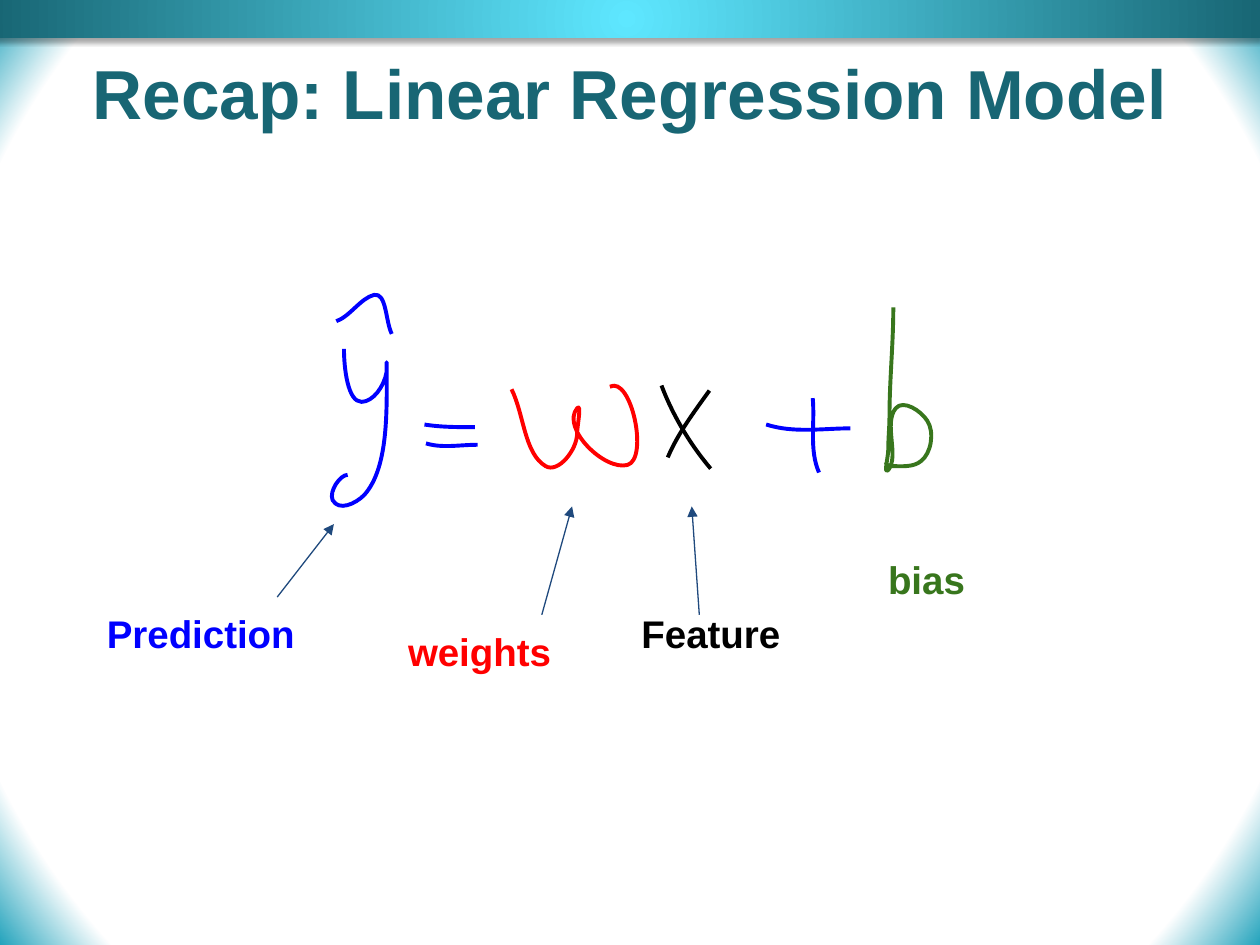
from lxml.etree import SubElement
from pptx import Presentation
from pptx.dml.color import RGBColor
from pptx.enum.shapes import MSO_CONNECTOR, MSO_SHAPE
from pptx.enum.text import MSO_ANCHOR, MSO_AUTO_SIZE, PP_ALIGN
from pptx.oxml.ns import qn
from pptx.util import Pt

BLUE, RED, BLACK, GREEN = "0000FF", "FF0000", "000000", "38761D"
TEAL, NAVY = "186674", "1F497D"

STROKES = [
    (BLACK, [(189, 52.3), (195.5, 69.6), (205.6, 86.2), (217.1, 99.8)]),
    (BLUE, [(7.6, 31.4), (7.6, 42.2), (9.7, 61.7), (17.6, 61.7),
            (24.1, 61.7), (30.6, 53), (32, 44.4),
            (32, 43), (32, 37.2), (32, 39.4),
            (32, 65.3), (33.5, 99.1), (19.1, 115),
            (14, 120), (4.7, 124.3), (1.1, 117.8),
            (-1.1, 112.8), (5.4, 103.4), (9.7, 103.4)]),
    (BLUE, [(53.6, 74.6), (63, 76.1), (72.4, 76.1), (82.4, 76.1)]),
    (BLUE, [(54.4, 85.4), (63.7, 88.3), (73.8, 86.2), (83.9, 86.2)]),
    (RED, [(103.3, 54.5), (110.5, 68.9), (110.5, 91.2), (122.8, 98.4),
           (130, 102.7), (140.8, 89), (140.8, 79.7),
           (140.8, 75.4), (143.6, 62.4), (140.8, 65.3),
           (131.4, 76.8), (156.6, 101.3), (169.6, 97.7),
           (181.8, 94.1), (171.7, 46.6), (159.5, 53)]),
    (BLACK, [(216.4, 55.2), (207.7, 67.4), (198.4, 79.7), (192.6, 93.4)]),
    (BLUE, [(248.8, 74.6), (264.6, 79.7), (281.2, 76.8), (297, 76.8)]),
    (BLUE, [(275.4, 59.5), (276.8, 73.2), (273.2, 89), (279, 102)]),
    (GREEN, [(321.5, 7.7), (321.5, 28.6), (319.3, 49.4), (319.3, 69.6),
             (319.3, 76.1), (318.6, 82.6), (318.6, 89),
             (318.6, 93.4), (315.7, 103.4), (318.6, 100.6),
             (325.1, 92.6), (315.7, 73.9), (322.9, 65.3),
             (327.2, 60.2), (337.3, 66.7), (340.9, 72.5),
             (345.2, 79), (343.1, 91.2), (337.3, 95.5),
             (333, 99.1), (326.5, 98.4), (320.8, 98.4),
             (319.3, 98.4), (317.2, 97.7), (317.2, 96.2)]),
    (BLUE, [(3.2, 15.6), (11.2, 12.7), (16.9, 2.6), (24.8, 0.5),
            (32, -1), (31.3, 15.6), (34.9, 22.8)]),
]
LABELS = [
    ("Feature", BLACK, 305.5, 30.9, 208.8),
    ("Prediction", BLUE, 0, 30.9, 208.8),
    ("weights", RED, 172.1, 41, 115.2),
    ("bias", GREEN, 446.4, 0, 115.2),
]
ARROWS = [
    ((241.2, 61.9), (236.9, 0)),
    ((151.2, 61.9), (168.5, 0)),
    ((0, 51.8), (32.4, 10.1)),
]


def color(code):
    """Turn a hex string into a colour."""
    return RGBColor.from_string(code)


def shade(fill, root, stops):
    """Give a fill a round gradient that starts at the centre."""
    fill.gradient()
    for stop, (place, code) in zip(fill.gradient_stops, stops):
        stop.position = place
        stop.color.rgb = color(code)
    line = next(root.iter(qn("a:lin")))
    grad = line.getparent()
    grad.remove(line)
    ring = SubElement(grad, qn("a:path"), path="circle")
    SubElement(ring, qn("a:fillToRect"), l="50000", t="50000", r="50000", b="50000")


def banner(slide, left, top, width, height):
    """Draw the shaded bar with its soft shadow."""
    bar = slide.shapes.add_shape(
        MSO_SHAPE.RECTANGLE, Pt(left), Pt(top), Pt(width), Pt(height))
    bar.line.fill.background()
    shade(bar.fill, bar.element, [(0, "5EE7FF"), (1, TEAL)])
    bar.shadow.inherit = False
    effects = next(bar.element.iter(qn("a:effectLst")))
    cast = SubElement(effects, qn("a:outerShdw"), blurRad=str(Pt(3.1)),
                      dist=str(Pt(1.8)), dir="5400000", rotWithShape="0")
    tint = SubElement(cast, qn("a:srgbClr"), val=BLACK)
    SubElement(tint, qn("a:alpha"), val="35000")


def write(shape, text, size, code):
    """Put one bold line in a shape and return its paragraph."""
    frame = shape.text_frame
    frame.word_wrap = True
    frame.vertical_anchor = MSO_ANCHOR.TOP
    frame.margin_left = frame.margin_right = Pt(7.2)
    frame.margin_top = frame.margin_bottom = Pt(7.2)
    frame.text = text
    line = frame.paragraphs[0]
    font = line.font
    font.name, font.size, font.bold = "Arial", Pt(size), True
    font.color.rgb = color(code)
    return line


def heading(slide, left, top, width, height):
    """Place and fill the title."""
    title = slide.shapes.title
    title.left, title.top = Pt(left), Pt(top)
    title.width, title.height = Pt(width), Pt(height)
    line = write(title, "Recap: Linear Regression Model", 39.6, TEAL)
    line.alignment = PP_ALIGN.CENTER
    title.text_frame.auto_size = MSO_AUTO_SIZE.NONE


def bend(stroke, dots):
    """Turn the straight segments of a stroke into cubic curves."""
    left, top = stroke.left, stroke.top
    lines = list(stroke.element.iter(qn("a:lnTo")))
    for index, line in enumerate(lines):
        arc = SubElement(line.getparent(), qn("a:cubicBezTo"))
        for x, y in dots[3 * index + 1:3 * index + 4]:
            SubElement(arc, qn("a:pt"), x=str(x - left), y=str(y - top))
        line.getparent().remove(line)


def formula(slide, left, top):
    """Draw the handwritten equation as a group of strokes."""
    group = slide.shapes.add_group_shape()
    for code, points in STROKES:
        dots = [(Pt(left + x), Pt(top + y)) for x, y in points]
        pen = group.shapes.build_freeform(*dots[0])
        pen.add_line_segments(dots[3::3], close=False)
        stroke = pen.convert_to_shape()
        bend(stroke, dots)
        stroke.fill.background()
        stroke.line.color.rgb = color(code)
        stroke.line.width = Pt(2.25)
        stroke.shadow.inherit = False


def labels(slide, left, top):
    """Name the terms of the equation."""
    for text, code, x, y, width in LABELS:
        box = slide.shapes.add_textbox(Pt(left + x), Pt(top + y), Pt(width), Pt(41))
        write(box, text, 22, code)
        box.text_frame.auto_size = MSO_AUTO_SIZE.SHAPE_TO_FIT_TEXT


def arrows(slide, left, top):
    """Point from the labels to their terms."""
    for (x, y), (tip, end) in ARROWS:
        arrow = slide.shapes.add_connector(
            MSO_CONNECTOR.STRAIGHT, Pt(left + x), Pt(top + y),
            Pt(left + tip), Pt(top + end))
        arrow.line.color.rgb = color(NAVY)
        arrow.line.width = Pt(0.75)
        edge = next(arrow.element.iter(qn("a:ln")))
        SubElement(edge, qn("a:tailEnd"), type="triangle")
        SubElement(edge.getparent(), qn("a:effectLst"))


def main():
    """Build and save the slide."""
    deck = Presentation()
    deck.slide_width, deck.slide_height = Pt(720), Pt(540)
    slide = deck.slides.add_slide(deck.slide_layouts[5])
    shade(slide.background.fill, slide.element, [(0.89, "FFFFFF"), (1, "23A3BC")])
    banner(slide, -3.6, 0, 723.6, 21.6)
    heading(slide, 36, 21.6, 648, 90)
    formula(slide, 189, 168)
    labels(slide, 54, 310.4)
    arrows(slide, 158.4, 289.4)
    deck.save("out.pptx")


if __name__ == "__main__":
    main()
